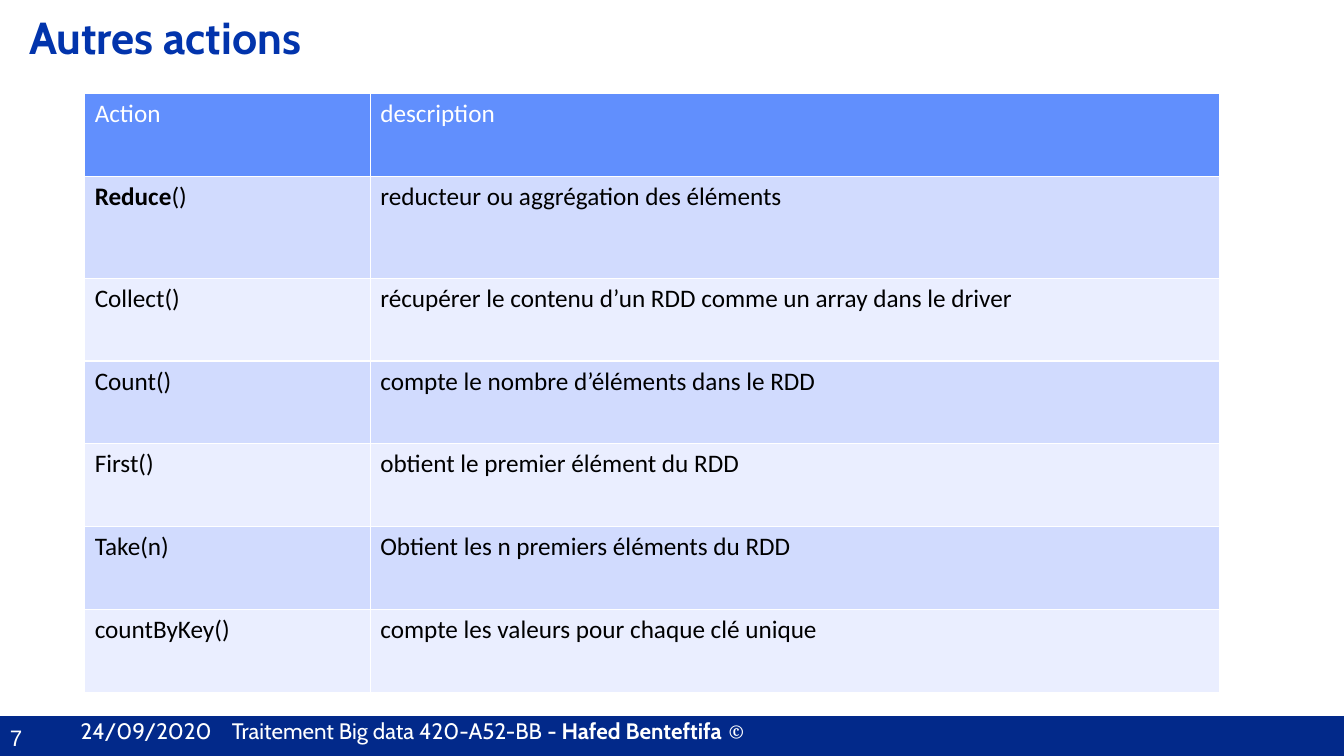
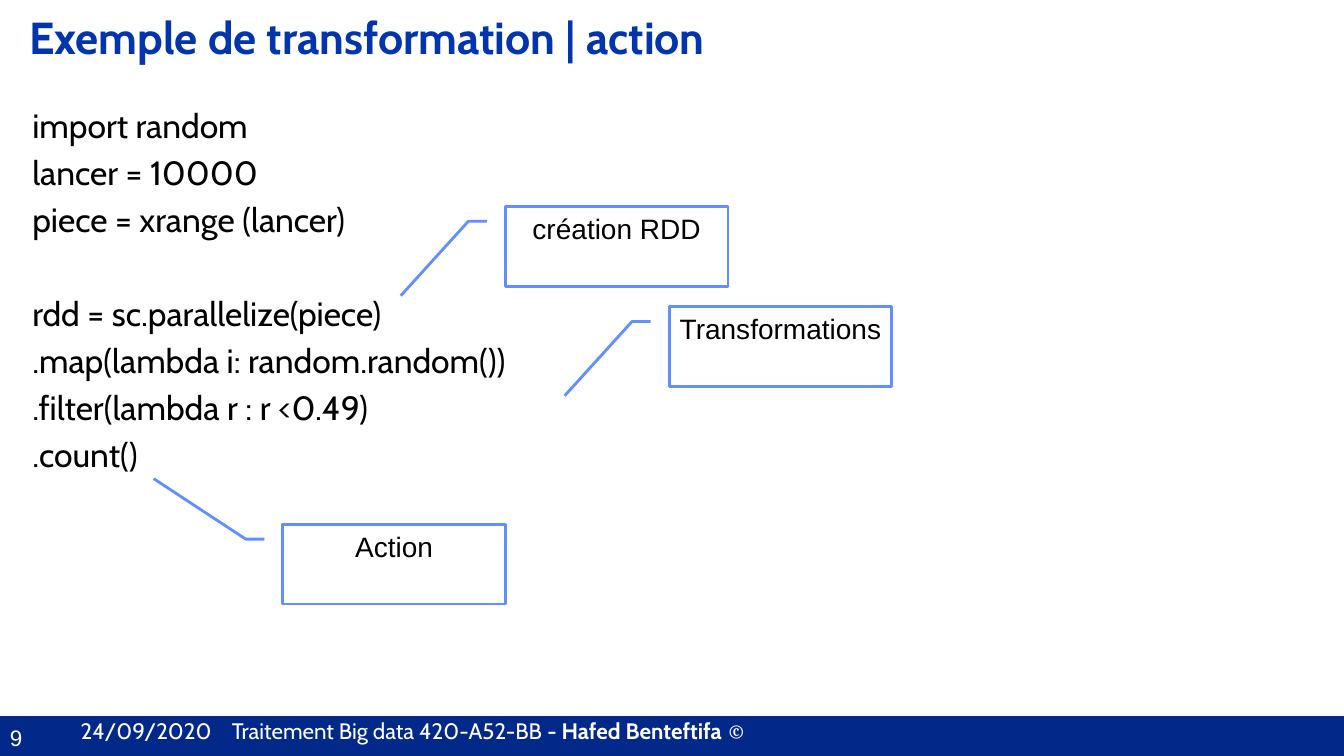
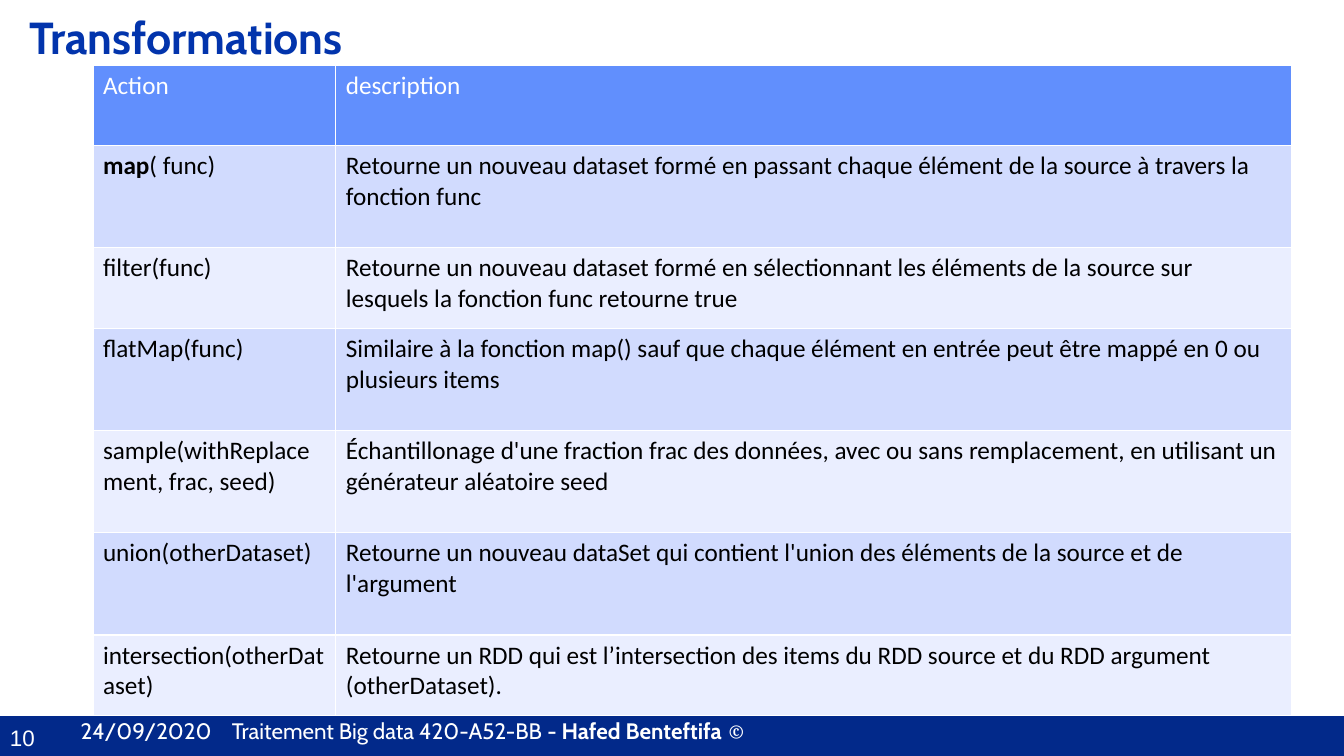
from lxml import etree
from pptx import Presentation
from pptx.dml.color import RGBColor
from pptx.enum import shapes, text
from pptx.oxml.ns import qn
from pptx.util import Pt

COLORS = {
    "band": "02298A", "title": "0234AC", "accent": "618FFD",
    "dark_row": "D1DBFE", "light_row": "EAEEFF",
    "white": "FFFFFF", "black": "000000",
}


def add_run(paragraph, words, size, font, color, bold=False):
    run = paragraph.add_run()
    run.text = words
    run.font.size = Pt(size)
    run.font.name = font
    run.font.bold = bold
    run.font.color.rgb = RGBColor.from_string(COLORS[color])


def add_box(slide, left, top, width, height):
    """Add a wrapping text box and return its text frame."""
    box = slide.shapes.add_textbox(Pt(left), Pt(top), Pt(width), Pt(height))
    box.text_frame.word_wrap = True
    return box.text_frame


pages = [
    ("7", "Autres actions"),
    ("9", "Exemple de transformation | action"),
    ("10", "Transformations"),
]

prs = Presentation()
prs.slide_width, prs.slide_height = Pt(960), Pt(540)

# Band, footer and title on every slide
slides = []
for number, title in pages:
    slide = prs.slides.add_slide(prs.slide_layouts[6])
    slides.append(slide)

    band = slide.shapes.add_shape(
        shapes.MSO_SHAPE.RECTANGLE, 0, Pt(511.5), Pt(960), Pt(28.5))
    band.shadow.inherit = False
    band.fill.solid()
    band.fill.fore_color.rgb = RGBColor.from_string(COLORS["band"])
    band.line.fill.background()

    page_number = add_box(slide, 0, 514, 55, 26.5).paragraphs[0]
    add_run(page_number, number, 16, "Arial", "white")

    footer = add_box(slide, 50.5, 509, 909, 31).paragraphs[0]
    tabs = etree.SubElement(footer._p.get_or_add_pPr(), qn("a:tabLst"))
    etree.SubElement(tabs, qn("a:tab"), pos=str(Pt(108)), algn="l")
    add_run(footer, "24/09/2020\tTraitement Big data 420-A52-BB", 16, "Cabin", "white")
    add_run(footer, " - Hafed Benteftifa", 16, "Cabin", "white", True)
    add_run(footer, " ©", 16, "Cambria", "white", True)

    heading = add_box(slide, 13.7, 3.6, 929, 67).paragraphs[0]
    add_run(heading, title, 32, "Cabin", "title", True)

actions_slide, example_slide, transformations_slide = slides

# Tables: each row is (bold part of the name, rest of the name, description)
actions = [
    ("", "Action", "description"),
    ("Reduce", "()", "reducteur ou aggrégation des éléments"),
    ("", "Collect()", "récupérer le contenu d’un RDD comme un array dans le driver"),
    ("", "Count()", "compte le nombre d’éléments dans le RDD"),
    ("", "First()", "obtient le premier élément du RDD"),
    ("", "Take(n)", "Obtient les n premiers éléments du RDD"),
    ("", "countByKey()", "compte les valeurs pour chaque clé unique"),
]
transformations = [
    ("", "Action", "description"),
    ("map", "( func)", "Retourne un nouveau dataset formé en passant chaque élément "
     "de la source à travers la fonction func"),
    ("", "filter(func)", "Retourne un nouveau dataset formé en sélectionnant les "
     "éléments de la source sur lesquels la fonction func retourne true"),
    ("", "flatMap(func)", "Similaire à la fonction map() sauf que chaque élément en "
     "entrée peut être mappé en 0 ou plusieurs items"),
    ("", "sample(withReplacement, frac, seed)", "Échantillonage d'une fraction frac "
     "des données, avec ou sans remplacement, en utilisant un générateur aléatoire seed"),
    ("", "union(otherDataset)", "Retourne un nouveau dataSet qui contient l'union des "
     "éléments de la source et de l'argument"),
    ("", "intersection(otherDataset)", "Retourne un RDD qui est l’intersection des "
     "items du RDD source et du RDD argument (otherDataset)."),
]
tables = [
    (actions_slide, actions, 60.5, 67, (204, 607),
     (59.2, 72.5, 59.2, 59.2, 59.2, 59.2, 59.2)),
    (transformations_slide, transformations, 66.4, 46.4, (173.5, 682.5),
     (57.6, 73, 57.6, 73, 73, 73, 57.6)),
]
for slide, functions, left, top, widths, heights in tables:
    table = slide.shapes.add_table(
        len(functions), len(widths), Pt(left), Pt(top),
        Pt(sum(widths)), Pt(sum(heights))).table
    for column, width in zip(table.columns, widths):
        column.width = Pt(width)
    for index, (bold_name, name, description) in enumerate(functions):
        table.rows[index].height = Pt(heights[index])
        color = "black" if index else "white"
        fill = ("light_row", "dark_row")[index % 2] if index else "accent"
        name_cell, description_cell = table.rows[index].cells
        for cell in (name_cell, description_cell):
            cell.fill.solid()
            cell.fill.fore_color.rgb = RGBColor.from_string(COLORS[fill])
        if bold_name:
            add_run(name_cell.text_frame.paragraphs[0], bold_name, 18, "Calibri", color, True)
        add_run(name_cell.text_frame.paragraphs[0], name, 18, "Calibri", color)
        add_run(description_cell.text_frame.paragraphs[0], description, 18, "Calibri", color)

# Code example: (line, space before)
code_lines = [
    ("import random", 0),
    ("lancer = 10000", 4.8),
    ("piece = xrange (lancer)", 4.8),
    ("rdd = sc.parallelize(piece)", 38.5),
    (".map(lambda i: random.random())", 4.8),
    (".filter(lambda r : r <0.49)", 4.8),
    (".count()", 4.8),
]
code = add_box(example_slide, 16, 71.3, 928, 411)
for index, (line, space) in enumerate(code_lines):
    paragraph = code.add_paragraph() if index else code.paragraphs[0]
    paragraph.space_before = Pt(space)
    add_run(paragraph, line, 24, "Cabin", "black")

# Callouts: label, left, top, then the pointer's end as shares of width and height
callouts = [
    ("création RDD", 361, 147.4, -0.47, 1.12),
    ("Transformations", 478, 218.9, -0.47, 1.12),
    ("Action", 202, 374.4, -0.58, -0.57),
]
for label, left, top, end_x, end_y in callouts:
    callout = example_slide.shapes.add_shape(
        shapes.MSO_SHAPE.LINE_CALLOUT_2, Pt(left), Pt(top), Pt(159), Pt(57))
    callout.adjustments[4] = end_y
    callout.adjustments[5] = end_x
    callout.shadow.inherit = False
    callout.fill.solid()
    callout.fill.fore_color.rgb = RGBColor.from_string(COLORS["white"])
    callout.line.color.rgb = RGBColor.from_string(COLORS["accent"])
    callout.line.width = Pt(2)
    callout.text_frame.word_wrap = True
    callout.text_frame.vertical_anchor = text.MSO_ANCHOR.TOP
    paragraph = callout.text_frame.paragraphs[0]
    paragraph.alignment = text.PP_ALIGN.CENTER
    add_run(paragraph, label, 20, "Arial", "black")

prs.save("out.pptx")
